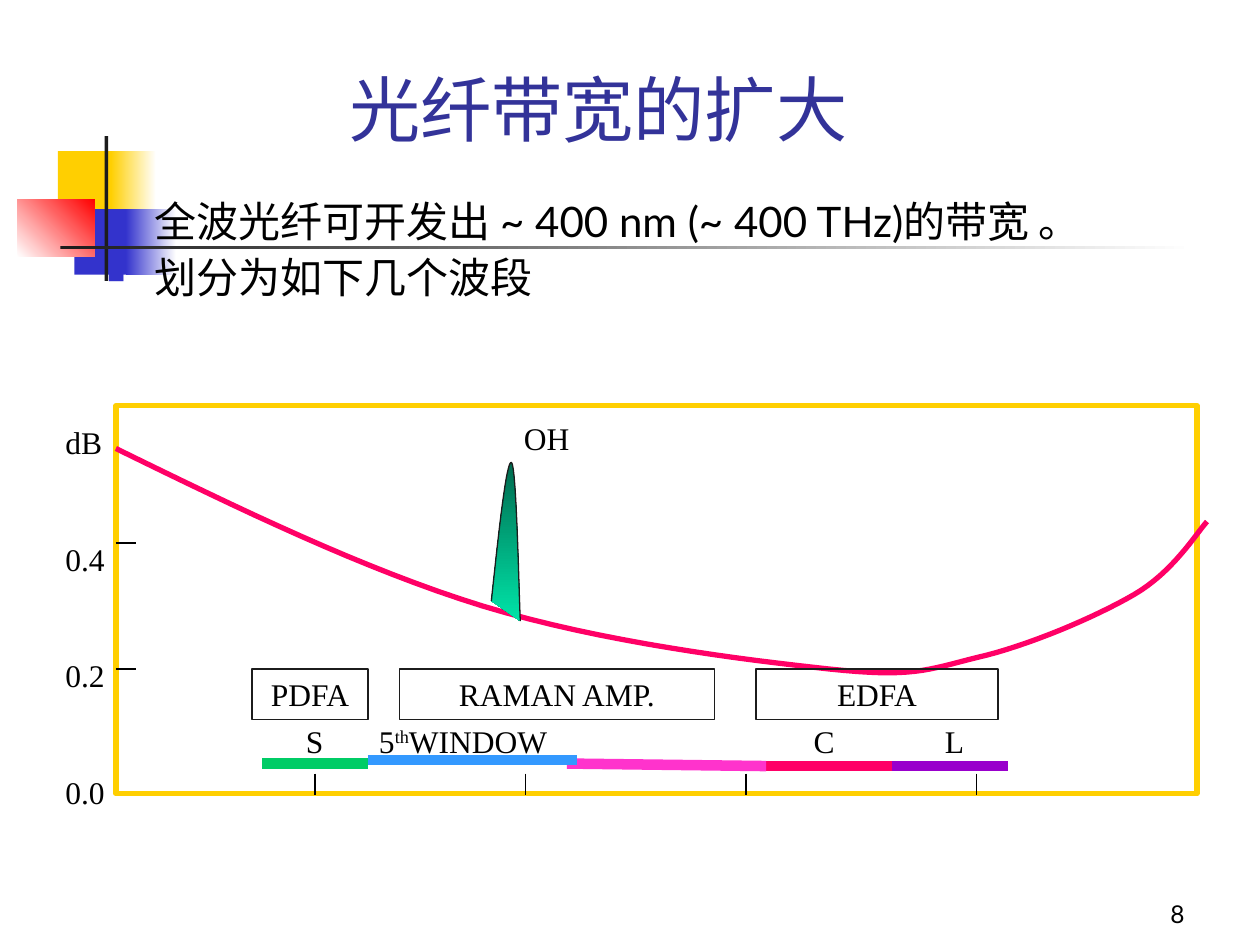
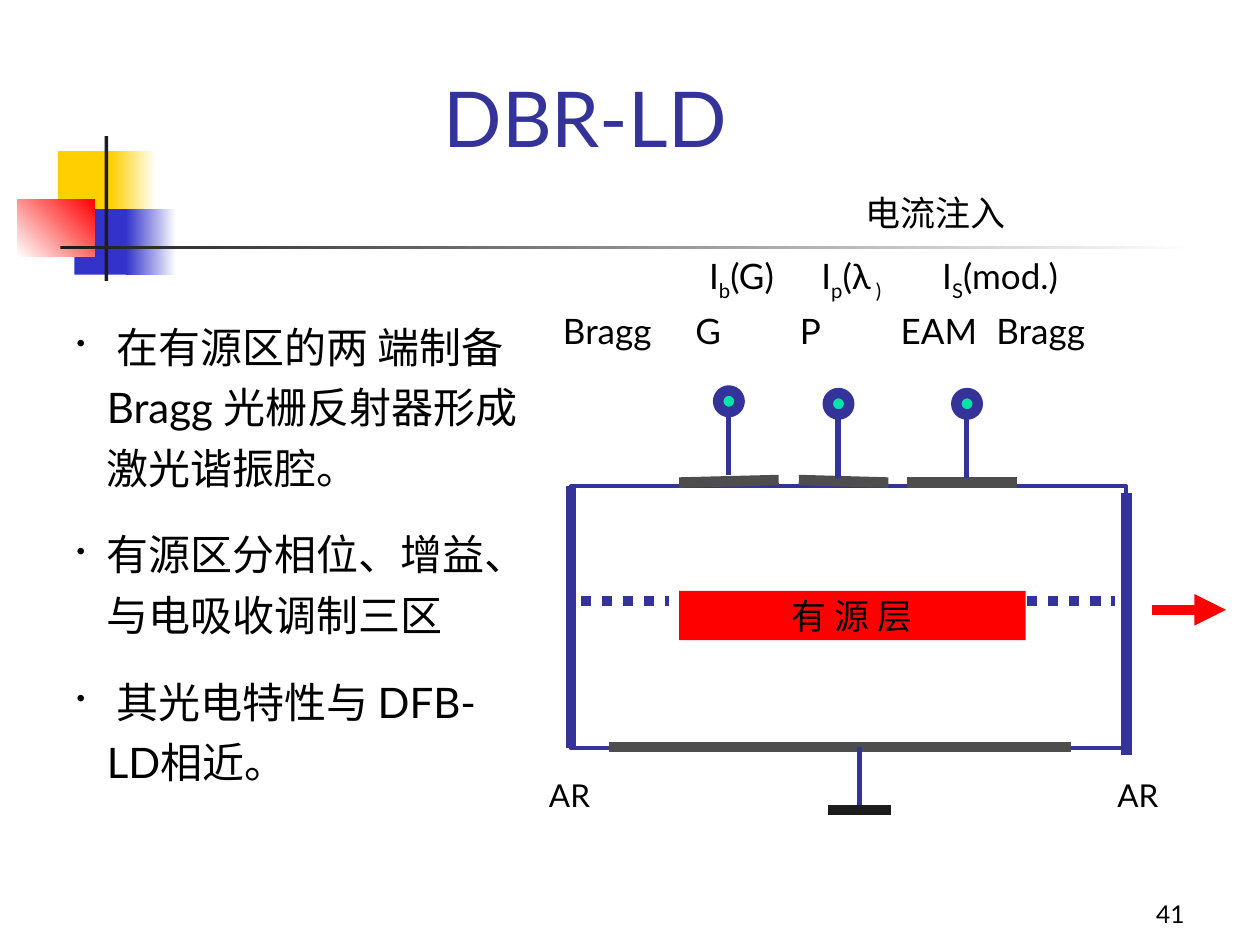
from lxml import etree
from pptx import Presentation
from pptx.dml.color import RGBColor
from pptx.enum.dml import MSO_LINE
from pptx.enum.shapes import MSO_CONNECTOR, MSO_SHAPE
from pptx.enum.text import MSO_ANCHOR, PP_ALIGN
from pptx.oxml.ns import qn
from pptx.util import Inches, Pt

RECT, OVAL, STRAIGHT = MSO_SHAPE.RECTANGLE, MSO_SHAPE.OVAL, MSO_CONNECTOR.STRAIGHT
LEFT, CENTER, RIGHT = PP_ALIGN.LEFT, PP_ALIGN.CENTER, PP_ALIGN.RIGHT
MIDDLE, BOTTOM = MSO_ANCHOR.MIDDLE, MSO_ANCHOR.BOTTOM
DOTS = MSO_LINE.ROUND_DOT

BLACK = RGBColor(0, 0, 0)
WHITE = RGBColor(255, 255, 255)
INK = RGBColor(0x1C, 0x1C, 0x1C)
GREY = RGBColor(0x4D, 0x4D, 0x4D)
NAVY = RGBColor(0x33, 0x33, 0x99)
BLUE = RGBColor(0x33, 0x33, 0xCC)
GOLD = RGBColor(0xFF, 0xCF, 0x01)
RED = RGBColor(0xFF, 0, 0)
ROSE = RGBColor(0xFF, 0, 0x66)
PINK = RGBColor(0xFF, 0x33, 0xCC)
PURPLE = RGBColor(0x99, 0, 0xCC)
GREEN = RGBColor(0, 0xCC, 0x66)
SKY = RGBColor(0x33, 0x99, 0xFF)
MINT = RGBColor(0, 0xE4, 0xA8)
PINE = RGBColor(0, 0x6A, 0x4E)
SANS, SERIF = "Lato", "Times New Roman"


def text(slide, x, y, w, h, words, size, font=SANS, align=LEFT, shift=0):
    """Add a text box; every second part between bars is raised or lowered by shift."""
    box = slide.shapes.add_textbox(Inches(x), Inches(y), Inches(w), Inches(h))
    box.text_frame.word_wrap = True
    para = box.text_frame.paragraphs[0]
    para.alignment = align
    for i, part in enumerate(words.split("|")):
        run = para.add_run()
        run.text = part
        if i % 2:
            run._r.get_or_add_rPr().set("baseline", str(shift * 1000))
    para.font.size, para.font.name = Pt(size), font
    para.font.color.rgb = BLACK
    return box


def line(slide, x1, y1, x2, y2, color, width):
    rule = slide.shapes.add_connector(
        STRAIGHT, Inches(x1), Inches(y1), Inches(x2), Inches(y2))
    rule.line.color.rgb = color
    rule.line.width = Pt(width)
    etree.SubElement(rule._element.spPr, qn("a:effectLst"))
    return rule


deck = Presentation()
deck.slide_width, deck.slide_height = Inches(10), Inches(7.5)
layout = deck.slide_layouts[5]

# Title, corner blocks and page number
heads = [
    ("光纤带宽的扩大", 40.7, (2.67, 0.44, 4.75, 0.83), MIDDLE, "8"),
    ("DBR-LD", 44, (3.42, 0.58, 2.57, 0.76), BOTTOM, "41"),
]
blocks = [
    (0.46, 1.2, 0.48, 0.52, GOLD, GOLD, 0),
    (0.88, 1.2, 0.36, 0.52, GOLD, WHITE, 0),
    (0.59, 1.66, 0.46, 0.52, BLUE, BLUE, 0),
    (1, 1.66, 0.4, 0.52, BLUE, WHITE, 0),
    (0.14, 1.58, 0.61, 0.46, WHITE, RED, 45),
    (0.83, 1.08, 0.03, 1.15, INK, INK, 0),
    (0.48, 1.95, 9, 0.03, INK, WHITE, 0),
]
for words, size, place, anchor, page in heads:
    slide = deck.slides.add_slide(layout)
    title = slide.shapes.title
    title.left, title.top, title.width, title.height = map(Inches, place)
    title.text_frame.text = words
    title.text_frame.vertical_anchor = anchor
    para = title.text_frame.paragraphs[0]
    para.alignment = LEFT
    para.font.size, para.font.name = Pt(size), SANS
    para.font.color.rgb = NAVY
    for x, y, w, h, start, end, angle in blocks:
        block = slide.shapes.add_shape(RECT, Inches(x), Inches(y), Inches(w), Inches(h))
        block.shadow.inherit = False
        block.line.fill.background()
        if start == end:
            block.fill.solid()
            block.fill.fore_color.rgb = start
        else:
            block.fill.gradient()
            block.fill.gradient_angle = angle
            for stop, color in zip(block.fill.gradient_stops, (start, end)):
                stop.color.rgb = color
    foot = text(slide, 7.42, 6.92, 2.08, 0.5, page, 14, align=RIGHT)
    foot.text_frame.vertical_anchor = BOTTOM
fiber, laser = deck.slides

# Bulleted text
bodies = [
    (fiber, (0.75, 1.55, 8.66, 1.08), "■", BLUE, 0.38, 0.9, 6,
     ["全波光纤可开发出 ~ 400 nm (~ 400 THz)的带宽 。", "划分为如下几个波段"]),
    (laser, (0.51, 2.42, 3.7, 3.88), "•", BLACK, 0.24, 1.2, 15,
     [" 在有源区的两 端制备 Bragg 光栅反射器形成激光谐振腔。",
      "有源区分相位、增益、与电吸收调制三区",
      " 其光电特性与 DFB-LD相近。"]),
]
for slide, place, mark, color, hang, lead, gap, items in bodies:
    frame = slide.shapes.add_textbox(*map(Inches, place)).text_frame
    frame.word_wrap = True
    for i, item in enumerate(items):
        para = frame.add_paragraph() if i else frame.paragraphs[0]
        para.text = item
        para.line_spacing = lead
        para.space_before = Pt(gap if i else 0)
        props = para._p.get_or_add_pPr()
        props.set("marL", str(Inches(hang)))
        props.set("indent", str(-Inches(hang)))
        tint = etree.SubElement(props, qn("a:buClr"))
        etree.SubElement(tint, qn("a:srgbClr"), val=str(color))
        etree.SubElement(props, qn("a:buSzPct"), val="60000")
        etree.SubElement(props, qn("a:buChar"), char=mark)
        para.font.size, para.font.name = Pt(24), SANS
        para.font.color.rgb = BLACK

# Fiber loss plot: frame, ticks and axis labels
plot = fiber.shapes.add_shape(RECT, Inches(0.92), Inches(3.22), Inches(8.58), Inches(3.08))
plot.shadow.inherit = False
plot.fill.background()
plot.line.color.rgb, plot.line.width = GOLD, Pt(3)
for y in (4.31, 5.31):
    line(fiber, 0.92, y, 1.08, y, BLACK, 0.75)
for x in (2.5, 4.17, 5.92, 7.75):
    line(fiber, x, 6.14, x, 6.31, BLACK, 0.75)
axis = text(fiber, 0.42, 3.31, 0.92, 3.14, "dB", 18, SERIF).text_frame
for mark in ("0.4", "0.2", "0.0"):
    para = axis.add_paragraph()
    para.text = mark
    para.space_before = Pt(45)
    para.font.size, para.font.name = Pt(18), SERIF
    para.font.color.rgb = BLACK

# Loss curve and OH peak, each a chain of cubic arcs
loss = [(0.92, 3.56), (1.9, 4.04), (2.89, 4.52), (3.83, 4.81),
        (4.78, 5.1), (5.93, 5.24), (6.58, 5.31),
        (7.24, 5.38), (7.35, 5.32), (7.75, 5.22),
        (8.15, 5.13), (8.69, 4.9), (9, 4.72),
        (9.31, 4.54), (9.49, 4.24), (9.58, 4.14)]
peak = [(3.9, 4.77), (3.96, 4.21), (4.02, 3.65), (4.06, 3.67),
        (4.1, 3.7), (4.12, 4.73), (4.13, 4.93)]
STEPS = 16
for knots, color, width in ((loss, ROSE, 3), (peak, INK, 0.75)):
    dots = []
    for i in range(0, len(knots) - 1, 3):
        for n in range(1, STEPS + 1):
            t = n / STEPS
            parts = ((1 - t) ** 3, 3 * t * (1 - t) ** 2, 3 * t * t * (1 - t), t ** 3)
            dots.append([Inches(sum(k * p[axis] for k, p in zip(parts, knots[i:i + 4])))
                         for axis in (0, 1)])
    path = fiber.shapes.build_freeform(*map(Inches, knots[0]))
    path.add_line_segments(dots, close=False)
    curve = path.convert_to_shape()
    curve.shadow.inherit = False
    curve.line.color.rgb, curve.line.width = color, Pt(width)
    if knots is loss:
        curve.fill.background()
    else:
        curve.fill.gradient()
        curve.fill.gradient_angle = 270
        for stop, tone in zip(curve.fill.gradient_stops, (PINE, MINT)):
            stop.color.rgb = tone
text(fiber, 4.06, 3.28, 0.71, 0.4, "OH", 18, SERIF)

# Wavelength bands and amplifiers
bands = [
    (7.08, 6.08, 8, 6.08, PURPLE),
    (6.08, 6.08, 7.08, 6.08, ROSE),
    (4.5, 6.06, 6.08, 6.08, PINK),
    (2.08, 6.06, 2.92, 6.06, GREEN),
    (2.92, 6.03, 4.58, 6.03, SKY),
]
for *ends, color in bands:
    line(fiber, *ends, color, 6)
for x, w, name in ((2.33, 0.5, "S"), (2.91, 1.8, "5|th|WINDOW"),
                   (6.36, 0.5, "C"), (7.4, 0.5, "L")):
    text(fiber, x, 5.68, w, 0.4, name, 18, SERIF, shift=30)
for x, w, name in ((2, 0.92, "PDFA"), (3.17, 2.5, "RAMAN AMP."), (6, 1.92, "EDFA")):
    amp = text(fiber, x, 5.31, w, 0.4, name, 18, SERIF, CENTER)
    amp.line.color.rgb, amp.line.width = INK, Pt(0.75)

# Laser body with facets, gratings and active layer
body = laser.shapes.add_shape(RECT, Inches(4.53), Inches(3.86), Inches(4.41), Inches(2.08))
body.shadow.inherit = False
body.fill.background()
body.line.color.rgb, body.line.width = NAVY, Pt(2.25)
for x, y in ((4.53, 3.86), (8.94, 3.91)):
    line(laser, x, y, x, y + 2.08, NAVY, 6)
for x in (4.61, 8.15):
    line(laser, x, 4.77, x + 0.7, 4.77, NAVY, 6).line.dash_style = DOTS
layer = text(laser, 5.39, 4.69, 2.75, 0.39, "有 源 层", 20, align=CENTER)
layer.text_frame.vertical_anchor = MIDDLE
layer.fill.solid()
layer.fill.fore_color.rgb = RED
for x in (4.06, 8.57):
    text(laser, x, 6.11, 0.92, 0.4, "AR", 18, align=CENTER)

# Electrodes, terminals, ground and light output
for ends in ((4.83, 5.93, 8.5, 5.93), (7.2, 3.83, 8.07, 3.83),
             (5.39, 3.83, 6.18, 3.81), (6.34, 3.81, 7.05, 3.83)):
    line(laser, *ends, GREY, 6)
line(laser, 6.82, 5.93, 6.82, 6.43, NAVY, 3)
line(laser, 6.57, 6.43, 7.07, 6.43, INK, 6)
for x, y in ((5.78, 3.27), (6.65, 3.29), (7.67, 3.29)):
    line(laser, x, y, x, y + 0.5, NAVY, 3)
    knob = laser.shapes.add_shape(
        OVAL, Inches(x - 0.08), Inches(y - 0.17), Inches(0.17), Inches(0.17))
    knob.shadow.inherit = False
    knob.fill.solid()
    knob.fill.fore_color.rgb = MINT
    knob.line.color.rgb, knob.line.width = NAVY, Pt(6)
beam = line(laser, 9.14, 4.84, 9.73, 4.84, RED, 6)
etree.SubElement(beam._element.spPr.find(qn("a:ln")), qn("a:tailEnd"), type="triangle")

# Section names and injected currents
text(laser, 5.55, 1.47, 3.75, 0.44, "电流注入", 20, align=CENTER)
for x, name in ((5.53, "I|b|(G)"), (6.42, "I|p|(λ| )"), (7.38, "I|S|(mod.)")):
    text(laser, x, 1.97, 1.3, 0.44, name, 20, shift=-25)
for x, name in ((4.37, "Bragg"), (5.42, "G"), (6.25, "P"), (7.05, "EAM"), (7.81, "Bragg")):
    text(laser, x, 2.41, 1, 0.44, name, 20)

deck.save("out.pptx")
